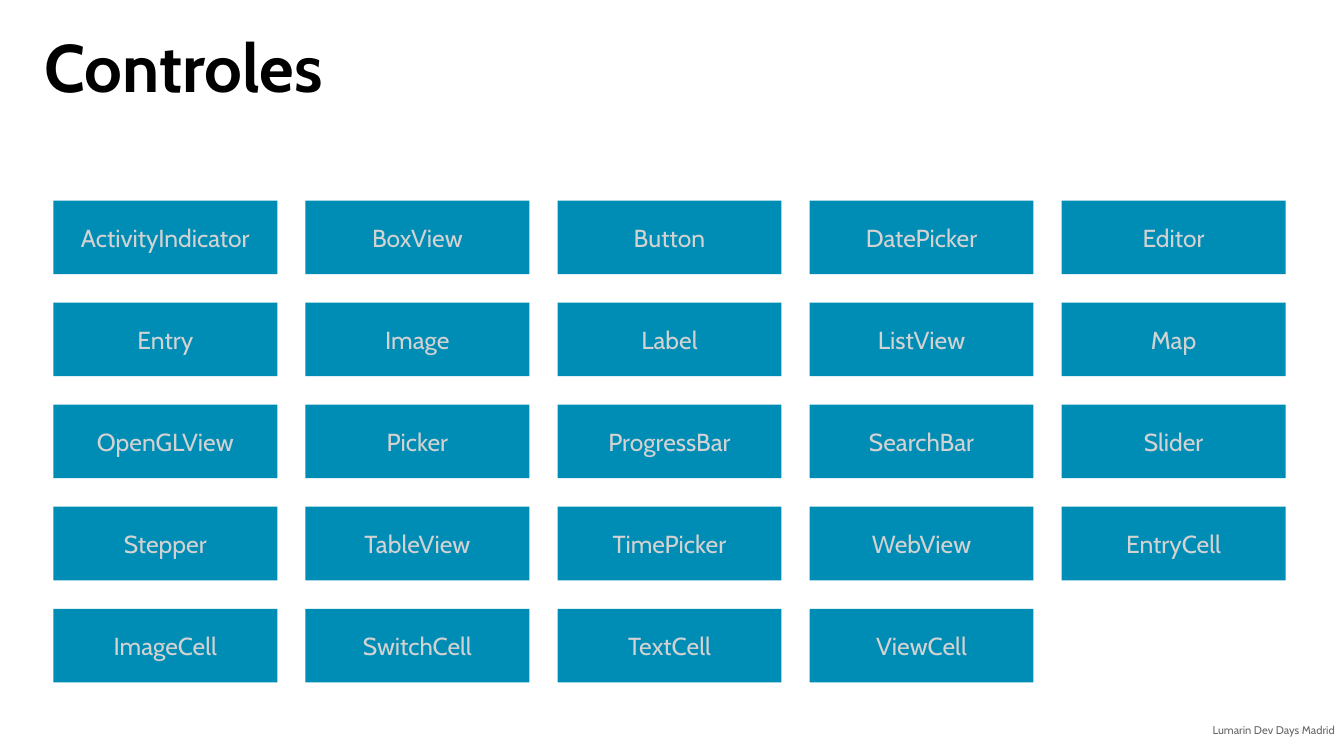
from dataclasses import dataclass

from pptx import Presentation
from pptx import util as u
from pptx.dml.color import RGBColor
from pptx.enum import shapes, text

FONT = "Cabin"
BLACK = RGBColor(0x00, 0x00, 0x00)
BLUE = RGBColor(0x00, 0x8D, 0xB5)
LIGHT_GREY = RGBColor(0xD2, 0xD2, 0xD2)
DARK_GREY = RGBColor(0x66, 0x66, 0x66)

COLUMNS = 5
GRID_LEFT, GRID_TOP, LAST_ROW_TOP = 0.53, 1.99, 6.04
COLUMN_PITCH = 2.5
ROW_PITCH = (LAST_ROW_TOP - GRID_TOP) / 4
TILE_WIDTH, TILE_HEIGHT = 2.22, 0.73

CONTROLS = [
    "ActivityIndicator", "BoxView", "Button", "DatePicker", "Editor",
    "Entry", "Image", "Label", "ListView", "Map",
    "OpenGLView", "Picker", "ProgressBar", "SearchBar", "Slider",
    "Stepper", "TableView", "TimePicker", "WebView", "EntryCell",
    "ImageCell", "SwitchCell", "TextCell", "ViewCell",
]


@dataclass(frozen=True)
class ControlTile:
    name: str
    left: float
    top: float


def write_text(shape, content: str, *, size: float, color: RGBColor,
               alignment=text.PP_ALIGN.LEFT, anchor=text.MSO_ANCHOR.TOP,
               bold: bool = False, line_spacing: float = 1.0) -> None:
    frame = shape.text_frame
    frame.word_wrap = True
    frame.auto_size = text.MSO_AUTO_SIZE.NONE
    frame.vertical_anchor = anchor
    paragraph = frame.paragraphs[0]
    paragraph.alignment = alignment
    paragraph.line_spacing = line_spacing
    run = paragraph.add_run()
    run.text = content
    run.font.name = FONT
    run.font.size = u.Pt(size)
    run.font.bold = bold
    run.font.color.rgb = color


def add_title(slide) -> None:
    title = slide.shapes.title
    title.left, title.top = u.Inches(0.29), u.Inches(0.22)
    title.width, title.height = u.Inches(12.74), u.Inches(1.07)
    frame = title.text_frame
    frame.margin_left = frame.margin_right = u.Inches(0.15)
    frame.margin_top = frame.margin_bottom = u.Inches(0.12)
    write_text(title, "Controles", size=48, color=BLACK, bold=True,
               line_spacing=0.9)


def add_tile(slide, tile: ControlTile) -> None:
    shape = slide.shapes.add_shape(
        shapes.MSO_SHAPE.ROUNDED_RECTANGLE,
        u.Inches(tile.left), u.Inches(tile.top),
        u.Inches(TILE_WIDTH), u.Inches(TILE_HEIGHT))
    shape.adjustments[0] = 0
    shape.shadow.inherit = False
    shape.fill.solid()
    shape.fill.fore_color.rgb = BLUE
    shape.line.fill.background()
    write_text(shape, tile.name, size=17.6, color=LIGHT_GREY,
               alignment=text.PP_ALIGN.CENTER, anchor=text.MSO_ANCHOR.MIDDLE)


def add_event_name(slide) -> None:
    box = slide.shapes.add_textbox(u.Inches(11.52), u.Inches(7.13),
                                   u.Inches(1.82), u.Inches(0.33))
    write_text(box, "Lumarin Dev Days Madrid", size=8, color=DARK_GREY,
               alignment=text.PP_ALIGN.RIGHT)


def main() -> None:
    presentation = Presentation()
    presentation.slide_width = u.Inches(13.33)
    presentation.slide_height = u.Inches(7.5)
    slide = presentation.slides.add_slide(presentation.slide_layouts[5])
    add_event_name(slide)
    for index, name in enumerate(CONTROLS):
        row, column = divmod(index, COLUMNS)
        add_tile(slide, ControlTile(name, GRID_LEFT + column * COLUMN_PITCH,
                                    GRID_TOP + row * ROW_PITCH))
    add_title(slide)
    presentation.save("out.pptx")


if __name__ == "__main__":
    main()
